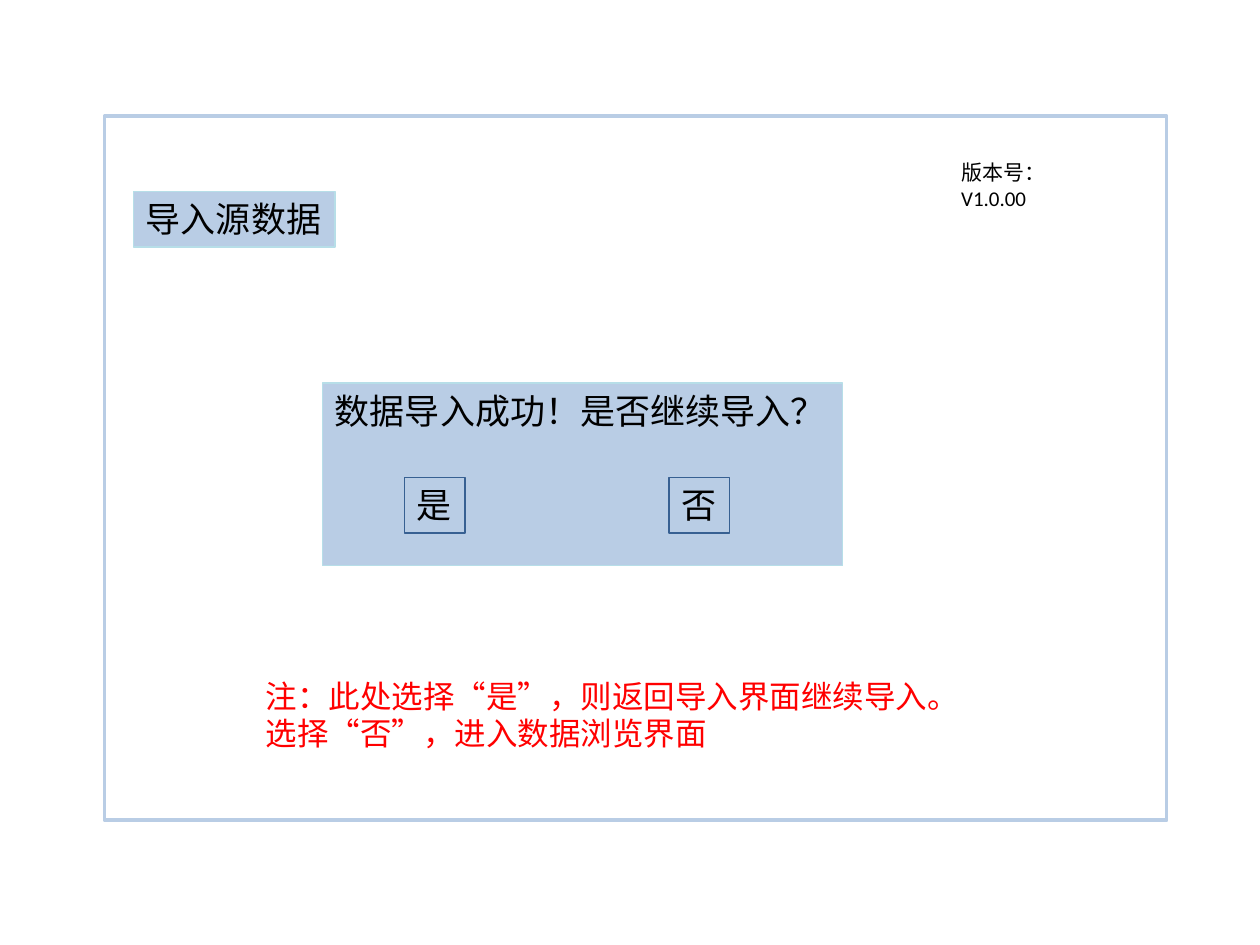
from dataclasses import dataclass

from pptx import Presentation
from pptx.dml.color import RGBColor
from pptx.enum import shapes, text
from pptx.util import Inches, Pt


@dataclass(frozen=True)
class Theme:
    """Colours, type sizes and line widths of the screen."""
    font: str = "Calibri"
    panel: str = "B9CDE5"
    edge: str = "B7DEE8"
    button_edge: str = "376092"
    ink: str = "000000"
    alert: str = "FF0000"
    label_size: int = 20
    note_size: int = 18
    version_size: int = 12
    frame_width: float = 2
    edge_width: float = 0.75


@dataclass(frozen=True)
class Box:
    """A box counted in columns and rows of the slide grid."""
    left: float
    top: float
    width: float
    height: float

    def inner(self, column, row, width, height):
        """Return a box offset from this one's top left corner."""
        return Box(self.left + column, self.top + row, width, height)

    def lengths(self):
        """Convert the grid cells to slide lengths."""
        return [Inches(cells * CELL)
                for cells in (self.left, self.top, self.width, self.height)]


THEME = Theme()
CELL = 0.1
COLUMNS, ROWS = 100, 75


def write(frame, lines, size, color, wrap=False):
    """Write one left-aligned paragraph for each line."""
    frame.word_wrap = wrap
    frame.vertical_anchor = text.MSO_ANCHOR.TOP
    for index, line in enumerate(lines):
        paragraph = frame.add_paragraph() if index else frame.paragraphs[0]
        paragraph.alignment = text.PP_ALIGN.LEFT
        run = paragraph.add_run()
        run.text = line
        run.font.name = THEME.font
        run.font.size = Pt(size)
        run.font.color.rgb = RGBColor.from_string(color)


def add_panel(slide, box, edge, width=THEME.edge_width, fill=None, label=None):
    """Draw an outlined rectangle with an optional fill and label."""
    panel = slide.shapes.add_shape(shapes.MSO_SHAPE.RECTANGLE, *box.lengths())
    panel.shadow.inherit = False
    panel.line.color.rgb = RGBColor.from_string(edge)
    panel.line.width = Pt(width)
    if fill:
        panel.fill.solid()
        panel.fill.fore_color.rgb = RGBColor.from_string(fill)
    else:
        panel.fill.background()
    if label:
        write(panel.text_frame, [label], THEME.label_size, THEME.ink)


def add_caption(slide, box, lines, size, color, wrap=False):
    """Place free text in a box."""
    caption = slide.shapes.add_textbox(*box.lengths())
    write(caption.text_frame, lines, size, color, wrap)


def add_header(slide, window):
    """Place the screen title and the version number."""
    add_panel(slide, window.inner(2.3, 6, 16, 4.4), THEME.edge,
              fill=THEME.panel, label="导入源数据")
    add_caption(slide, window.inner(67, 3, 13, 3), ["版本号：V1.0.00"],
                THEME.version_size, THEME.ink, wrap=True)


def add_dialog(slide, dialog):
    """Place the question with its evenly spaced answer buttons."""
    add_panel(slide, dialog, THEME.edge, fill=THEME.panel,
              label="数据导入成功！是否继续导入？")
    for index, answer in enumerate("是否"):
        add_panel(slide, dialog.inner(6.5 + 21 * index, 7.5, 4.8, 4.4),
                  THEME.button_edge, fill=THEME.panel, label=answer)


def add_note(slide, box):
    """Explain what each answer leads to."""
    add_caption(slide, box,
                ["注：此处选择“是”，则返回导入界面继续导入。",
                 "选择“否”，进入数据浏览界面"],
                THEME.note_size, THEME.alert)


def add_window(slide, window):
    """Draw the window frame and fill its regions."""
    add_panel(slide, window, THEME.panel, THEME.frame_width)
    add_header(slide, window)
    add_dialog(slide, window.inner(17.3, 21.2, 41.3, 14.5))
    add_note(slide, window.inner(11.8, 44, 57.6, 7.1))


def main():
    """Build and save the import confirmation slide."""
    deck = Presentation()
    deck.slide_width = Inches(COLUMNS * CELL)
    deck.slide_height = Inches(ROWS * CELL)
    slide = deck.slides.add_slide(deck.slide_layouts[6])
    add_window(slide, Box(8.3, 9.2, 84.3, 55.9))
    deck.save("out.pptx")


if __name__ == "__main__":
    main()
